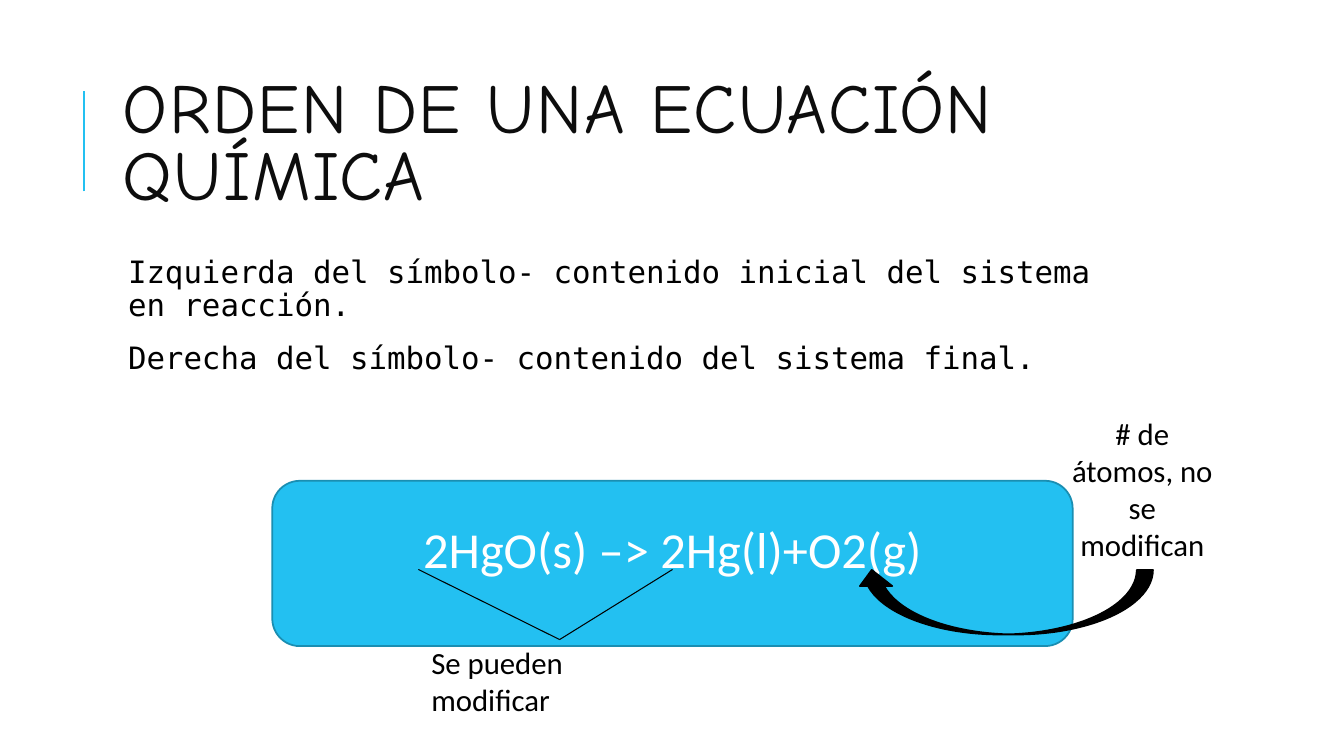
from dataclasses import dataclass

from lxml import etree
from pptx import Presentation
from pptx.dml.color import RGBColor
from pptx.enum.shapes import MSO_CONNECTOR, MSO_SHAPE
from pptx.enum.text import MSO_ANCHOR, PP_ALIGN
from pptx.oxml.ns import qn
from pptx.util import Inches, Pt

LINE = MSO_CONNECTOR.STRAIGHT
ROUND = MSO_SHAPE.ROUNDED_RECTANGLE
CURVE = MSO_SHAPE.CURVED_LEFT_ARROW
TOP, MIDDLE = MSO_ANCHOR.TOP, MSO_ANCHOR.MIDDLE
LEFT, CENTER = PP_ALIGN.LEFT, PP_ALIGN.CENTER
WIDE, HIGH = Inches(13.333), Inches(7.5)


@dataclass(frozen=True)
class Theme:
    """Colours, fonts and type sizes of the slide."""

    sky: str = "23C0F1"
    rim: str = "1A8EB2"
    ink: str = "000000"
    dark: str = "0D0D0D"
    white: str = "FFFFFF"
    head: str = "Comic Neue"
    mono: str = "DejaVu Sans Mono"
    sans: str = "Calibri"
    title: int = 50
    formula: int = 36
    text: int = 22


THEME = Theme()


def place(*shares):
    """Turn alternating x and y percentages into slide lengths."""
    return [int((HIGH if i % 2 else WIDE) * share / 100)
            for i, share in enumerate(shares)]


def write(shape, text, font, size, color, align=LEFT, anchor=TOP):
    """Fill a shape with wrapped text in one style and return its frame."""
    frame = shape.text_frame
    frame.text = text
    frame.word_wrap = True
    frame.vertical_anchor = anchor
    for para in frame.paragraphs:
        para.alignment = align
        for run in para.runs:
            run.font.name = font
            run.font.size = Pt(size)
            run.font.color.rgb = RGBColor.from_string(color)
    return frame


def add_text(slide, box, *style, **layout):
    """Add a text box and return its frame."""
    return write(slide.shapes.add_textbox(*place(*box)), *style, **layout)


def add_form(slide, kind, box, fill, edge):
    """Add a flat preset shape."""
    shape = slide.shapes.add_shape(kind, *place(*box))
    shape.shadow.inherit = False
    shape.fill.solid()
    shape.fill.fore_color.rgb = RGBColor.from_string(fill)
    shape.line.color.rgb = RGBColor.from_string(edge)
    shape.line.width = Pt(1.25)
    return shape


def add_line(slide, ends, color, width):
    """Add a straight line without a shadow."""
    line = slide.shapes.add_connector(LINE, *place(*ends))
    line.line.color.rgb = RGBColor.from_string(color)
    line.line.width = Pt(width)
    etree.SubElement(line._element.spPr, qn("a:effectLst"))


def add_title(slide, text):
    """Add the spaced heading and its accent bar."""
    add_line(slide, (6.23, 25.33, 6.23, 12), THEME.sky, 1.5)
    frame = add_text(slide, (8.4, 8.53, 79.74, 21.87), text,
                     THEME.head, THEME.title, THEME.dark, anchor=MIDDLE)
    para = frame.paragraphs[0]
    para.line_spacing = 0.8
    para.runs[0].font._element.set("spc", "100")


def add_body(slide, text):
    """Add the explanatory paragraphs."""
    frame = add_text(slide, (8.4, 33.33, 79.74, 58.67), text,
                     THEME.mono, THEME.text, THEME.ink)
    frame.margin_left = Inches(0.15)
    frame.margin_right = Inches(0.05)
    for para in frame.paragraphs:
        para.line_spacing = 0.9
        para.space_before = Pt(12)
        para.space_after = Pt(2)


def add_formula(slide, text):
    """Add the equation panel, with the text raised above its middle."""
    panel = add_form(slide, ROUND, (20.26, 63.6, 59.56, 21.87),
                     THEME.sky, THEME.rim)
    frame = write(panel, text, THEME.sans, THEME.formula, THEME.white,
                  CENTER, MIDDLE)
    frame.margin_bottom = Inches(0.35)


def add_note(slide, box, text, align=LEFT):
    """Add a short label."""
    add_text(slide, box, text, THEME.sans, THEME.text, THEME.ink, align)


def main():
    """Build and save the slide."""
    deck = Presentation()
    deck.slide_width, deck.slide_height = WIDE, HIGH
    slide = deck.slides.add_slide(deck.slide_layouts[6])
    add_title(slide, "ORDEN DE UNA ECUACIÓN QUÍMICA")
    add_body(slide, "Izquierda del símbolo- contenido inicial del sistema\v"
                    "en reacción.\n"
                    "Derecha del símbolo- contenido del sistema final.")
    add_formula(slide, "2HgO(s) –> 2Hg(l)+O2(g)")
    for start in (31.13, 50.04):
        add_line(slide, (start, 75.33, 41.64, 84.6), THEME.ink, 0.75)
    arrow = add_form(slide, CURVE, (72.32, 60, 4.8, 39.33),
                     THEME.ink, THEME.ink)
    arrow.rotation = 90
    add_note(slide, (31.36, 84.53, 20.5, 6.27), "Se pueden modificar")
    add_note(slide, (78.77, 54.27, 12.45, 21.07),
             "# de átomos, no se modifican", CENTER)
    deck.save("out.pptx")


if __name__ == "__main__":
    main()
